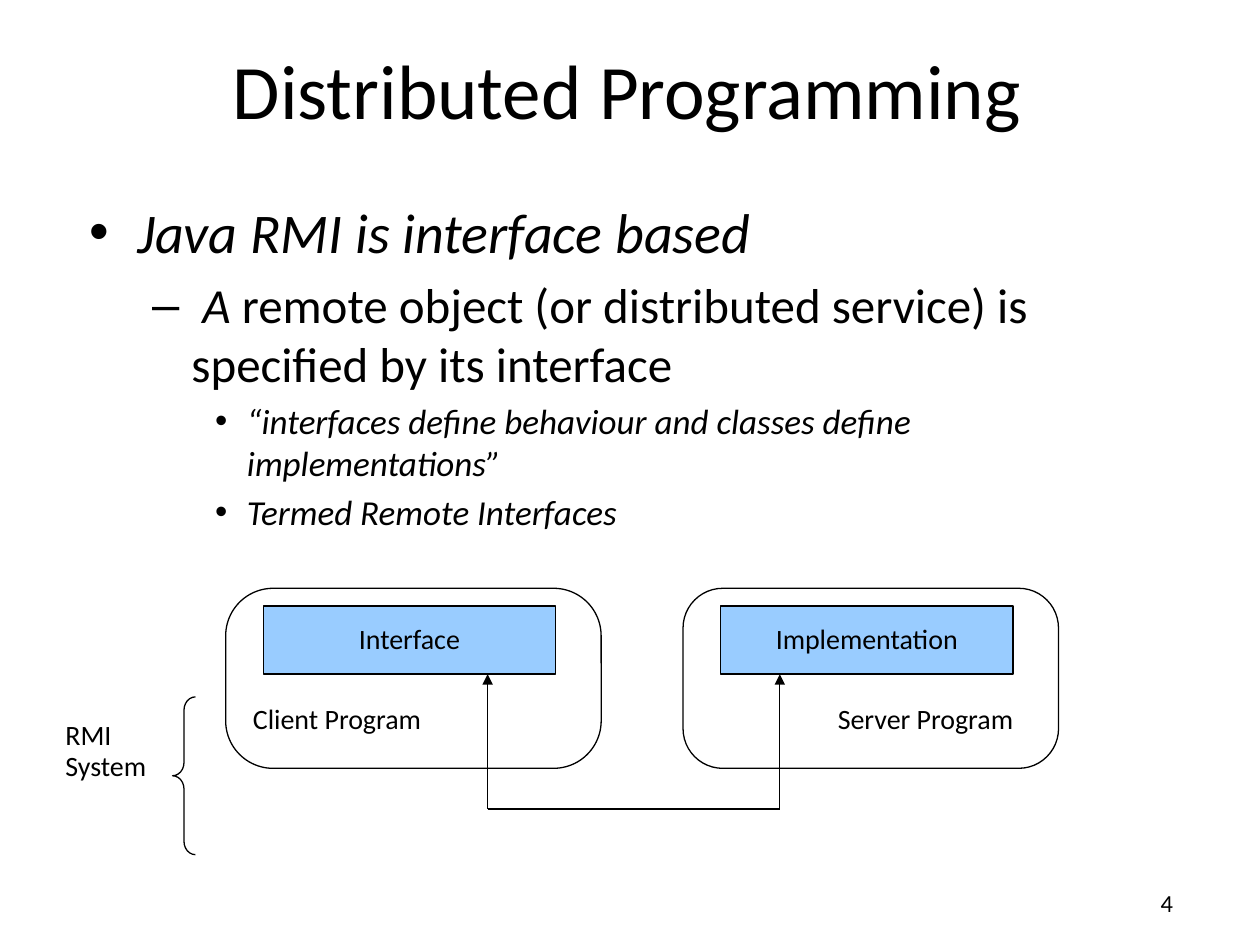
"""Builds a slide on interface-based distributed programming with a client and server diagram."""
from dataclasses import dataclass

from lxml.etree import SubElement
from pptx import Presentation
from pptx.dml.color import RGBColor
from pptx.enum.shapes import MSO_CONNECTOR as Connector, MSO_SHAPE as Preset
from pptx.enum.text import MSO_ANCHOR as Anchor, PP_ALIGN as Align
from pptx.oxml.ns import qn
from pptx.util import Cm, Pt


@dataclass(frozen=True)
class Theme:
    font: str = "Calibri"
    bullet_font: str = "Arial"
    ink: RGBColor = RGBColor(0, 0, 0)
    paper: RGBColor = RGBColor(255, 255, 255)
    accent: RGBColor = RGBColor(0x99, 0xCC, 0xFF)
    title_size: int = 44
    level_sizes: tuple = (32, 28, 20)
    label_size: int = 16
    number_size: int = 14
    line_width: float = 0.75
    label_spacing: float = 0.93


@dataclass(frozen=True)
class Box:
    left: float
    top: float
    width: float
    height: float

    def lengths(self) -> tuple:
        return Cm(self.left), Cm(self.top), Cm(self.width), Cm(self.height)


@dataclass(frozen=True)
class Bullet:
    level: int
    runs: tuple


@dataclass(frozen=True)
class Program:
    left: float
    corner: float
    role: str
    title: str
    title_left: float
    arrow_x: float


THEME = Theme()
INDENTS = ((0.97, -0.97), (2.06, -0.79), (3.18, -0.64))
BULLET_MARKS = "•–•"
BULLETS = (
    Bullet(0, (("Java RMI is interface based", True),)),
    Bullet(1, ((" A", True),
               (" remote object (or distributed service) is specified by its interface", False))),
    Bullet(2, (("“interfaces define behaviour and classes define implementations”", True),)),
    Bullet(2, (("Termed Remote Interfaces", True),)),
)
PROGRAMS = (
    Program(4.55, 0.264, "Interface", "Client Program", 4.85, 9.83),
    Program(13.77, 0.221, "Implementation", "Server Program", 16.64, 15.72),
)
ROLE_BOTTOM, LINK_Y = 13.59, 16.31


def add_run(paragraph, text: str, size: float, italic: bool = False) -> None:
    run = paragraph.add_run()
    run.text = text
    run.font.name = THEME.font
    run.font.size = Pt(size)
    run.font.italic = italic
    run.font.color.rgb = THEME.ink


def add_frame(slide, box: Box, inset: bool = True):
    frame = slide.shapes.add_textbox(*box.lengths()).text_frame
    frame.word_wrap = True
    if not inset:
        frame.margin_left = frame.margin_top = frame.margin_right = frame.margin_bottom = 0
    return frame


def write_label(frame, text: str, align: Align = Align.LEFT) -> None:
    paragraph = frame.paragraphs[0]
    paragraph.alignment = align
    paragraph.line_spacing = THEME.label_spacing
    add_run(paragraph, text, THEME.label_size)


def add_bullet(paragraph, bullet: Bullet) -> None:
    size = THEME.level_sizes[bullet.level]
    paragraph.level = bullet.level
    paragraph.space_before = Pt(size * 0.2)
    margin, indent = INDENTS[bullet.level]
    properties = paragraph._p.get_or_add_pPr()
    properties.set("marL", str(Cm(margin)))
    properties.set("indent", str(Cm(indent)))
    SubElement(properties, qn("a:buFont")).set("typeface", THEME.bullet_font)
    SubElement(properties, qn("a:buChar")).set("char", BULLET_MARKS[bullet.level])
    for text, italic in bullet.runs:
        add_run(paragraph, text, size, italic)


def add_outline(slide, preset: Preset, box: Box, fill: RGBColor | None = None):
    shape = slide.shapes.add_shape(preset, *box.lengths())
    shape.shadow.inherit = False
    if fill is None:
        shape.fill.background()
    else:
        shape.fill.solid()
        shape.fill.fore_color.rgb = fill
    shape.line.color.rgb = THEME.ink
    shape.line.width = Pt(THEME.line_width)
    return shape


def add_link(slide, kind: Connector, start: tuple, end: tuple, arrow: bool = False) -> None:
    link = slide.shapes.add_connector(kind, *map(Cm, start + end))
    link.line.color.rgb = THEME.ink
    link.line.width = Pt(THEME.line_width)
    if arrow:
        SubElement(link.line._get_or_add_ln(), qn("a:tailEnd")).set("type", "triangle")
    SubElement(link._element.spPr, qn("a:effectLst"))


def add_program(slide, program: Program) -> None:
    body = add_outline(slide, Preset.ROUNDED_RECTANGLE,
                       Box(program.left, 11.86, 7.57, 3.63), THEME.paper)
    body.adjustments[0] = program.corner
    role = add_outline(slide, Preset.RECTANGLE,
                       Box(program.left + 0.76, 12.22, 5.89, 1.37), THEME.accent)
    role.text_frame.word_wrap = False
    role.text_frame.vertical_anchor = Anchor.MIDDLE
    write_label(role.text_frame, program.role, Align.CENTER)
    write_label(add_frame(slide, Box(program.title_left, 14.07, 5, 0.89)), program.title)
    add_link(slide, Connector.STRAIGHT, (program.arrow_x, LINK_Y),
             (program.arrow_x, ROLE_BOTTOM), arrow=True)


def add_heading(slide) -> None:
    frame = add_frame(slide, Box(1.8, 0.86, 21.69, 1.85), inset=False)
    frame.vertical_anchor = Anchor.MIDDLE
    frame.paragraphs[0].alignment = Align.CENTER
    add_run(frame.paragraphs[0], "Distributed Programming", THEME.title_size)


def add_body(slide) -> None:
    frame = add_frame(slide, Box(1.8, 3.99, 21.69, 6.45), inset=False)
    for index, bullet in enumerate(BULLETS):
        add_bullet(frame.add_paragraph() if index else frame.paragraphs[0], bullet)


def add_diagram(slide) -> None:
    for program in PROGRAMS:
        add_program(slide, program)
    client, server = PROGRAMS
    add_link(slide, Connector.ELBOW, (client.arrow_x, LINK_Y), (server.arrow_x, LINK_Y))
    brace = add_outline(slide, Preset.LEFT_BRACE, Box(3.48, 14.05, 0.46, 3.18))
    brace.adjustments[0] = 0.58
    write_label(add_frame(slide, Box(1.07, 14.4, 3.1, 1.5)), "RMI System")


def add_slide_number(slide) -> None:
    paragraph = add_frame(slide, Box(18.62, 17.78, 5.28, 0.84)).paragraphs[0]
    paragraph.alignment = Align.RIGHT
    add_run(paragraph, "4", THEME.number_size)


def main() -> None:
    presentation = Presentation()
    presentation.slide_width, presentation.slide_height = Cm(25.4), Cm(19.05)
    slide = presentation.slides.add_slide(presentation.slide_layouts[6])
    add_heading(slide)
    add_body(slide)
    add_diagram(slide)
    add_slide_number(slide)
    presentation.save("out.pptx")


if __name__ == "__main__":
    main()
